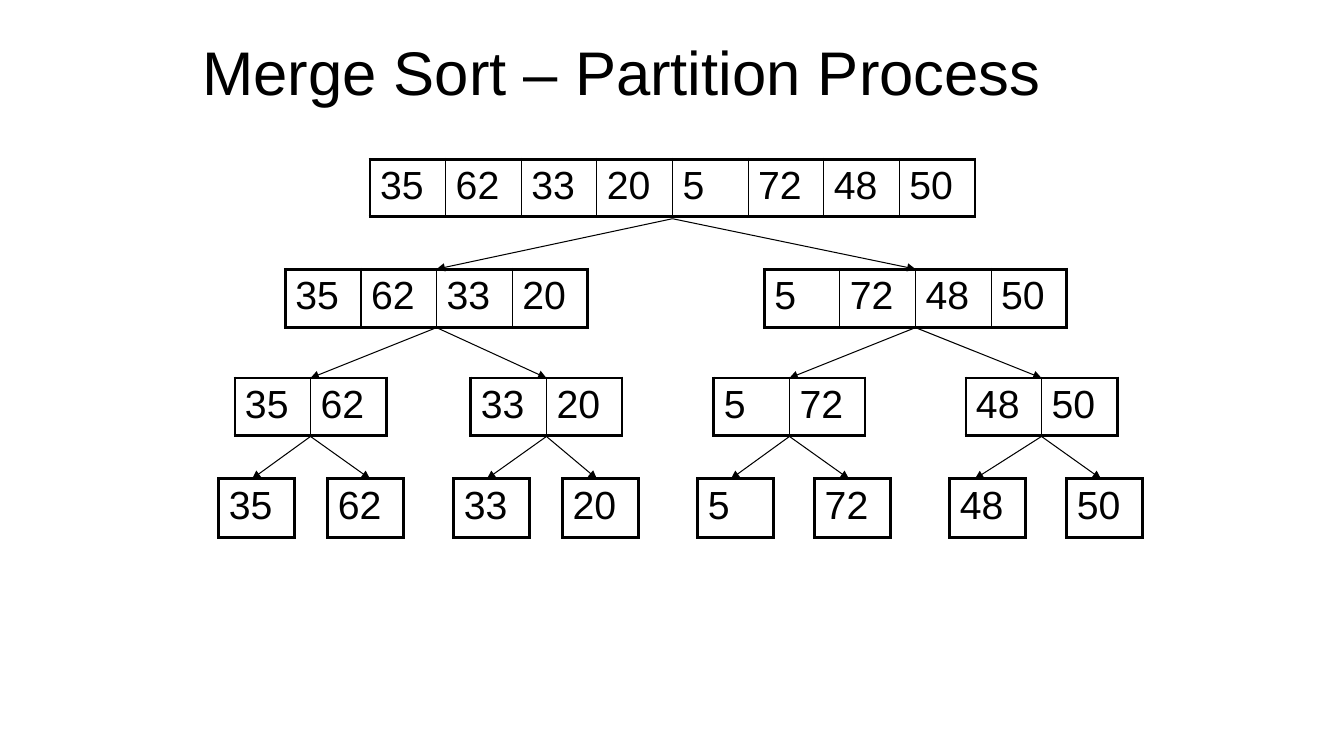
from dataclasses import dataclass

from lxml.etree import SubElement
from pptx import Presentation
from pptx.dml.color import RGBColor
from pptx.enum.shapes import MSO_CONNECTOR
from pptx.enum.text import MSO_ANCHOR, PP_ALIGN
from pptx.oxml.ns import qn
from pptx.util import Inches, Pt

FONT = "Arial"
INK = "000000"
CELL_WIDTH = 0.75
OUTER, INNER, ARROW = 2.25, 1, 0.75
VALUES = [35, 62, 33, 20, 5, 72, 48, 50]


@dataclass
class Level:
    """One level of the tree; lengths in inches.

    lefts are the left edges of its arrays, anchors the x of the arrows
    that reach and leave them, exit_y the height where arrows leave.
    """
    top: float
    height: float
    exit_y: float
    lefts: list[float]
    anchors: list[float]


LEVELS = [
    Level(1.58, 0.57, 2.17, [3.67], [6.67]),
    Level(2.67, 0.58, 3.25, [2.83, 7.58], [4.33, 9.08]),
    Level(3.75, 0.57, 4.33, [2.33, 4.67, 7.08, 9.58], [3.08, 5.42, 7.83, 10.33]),
    Level(4.75, 0.58, 5.33, [2.17, 3.25, 4.5, 5.58, 6.92, 8.08, 9.42, 10.58],
          [2.5, 3.67, 4.83, 5.92, 7.25, 8.42, 9.67, 10.92]),
]


def color(value: str) -> RGBColor:
    """Turn a hex string into a colour."""
    return RGBColor.from_string(value)


def format_font(font, size: float) -> None:
    """Apply the slide's typeface and text colour."""
    for name, value in {"name": FONT, "size": Pt(size)}.items():
        setattr(font, name, value)
    font.color.rgb = color(INK)


def add_title(slide, text: str) -> None:
    """Place and fill the title placeholder."""
    sp = slide.shapes.title
    box = {"left": 1.67, "top": 0.08, "width": 9, "height": 1.25}
    for name, value in box.items():
        setattr(sp, name, Inches(value))
    tf = sp.text_frame
    tf.vertical_anchor = MSO_ANCHOR.MIDDLE
    p = tf.paragraphs[0]
    p.alignment = PP_ALIGN.CENTER
    r = p.add_run()
    r.text = text
    format_font(r.font, 44)


def set_borders(cell, first: bool, last: bool) -> None:
    """Draw heavy outer borders and thin dividers around a cell."""
    tc_pr = cell._tc.get_or_add_tcPr()
    widths = {"lnL": OUTER if first else INNER, "lnR": OUTER if last else INNER,
              "lnT": OUTER, "lnB": OUTER}
    for tag, width in widths.items():
        ln = SubElement(tc_pr, qn(f"a:{tag}"), w=str(Pt(width)))
        fill = SubElement(ln, qn("a:solidFill"))
        SubElement(fill, qn("a:srgbClr"), val=INK)


def fill_cell(cell, value: int) -> None:
    """Write one number into a transparent cell."""
    cell.fill.background()
    p = cell.text_frame.paragraphs[0]
    spacing = SubElement(p._p.get_or_add_pPr(), qn("a:spcBef"))
    SubElement(spacing, qn("a:spcPct"), val="20000")
    r = p.add_run()
    r.text = str(value)
    format_font(r.font, 28)


def add_array(slide, left: float, level: Level, values: list[int]) -> None:
    """Add an array as a one-row table."""
    count = len(values)
    table = slide.shapes.add_table(
        1, count, Inches(left), Inches(level.top),
        Inches(CELL_WIDTH * count), Inches(level.height)).table
    table.first_row = table.horz_banding = False
    for i, value in enumerate(values):
        cell = table.cell(0, i)
        set_borders(cell, i == 0, i == count - 1)
        fill_cell(cell, value)


def add_arrow(slide, x1: float, y1: float, x2: float, y2: float) -> None:
    """Add a thin arrow pointing at its second end."""
    line = slide.shapes.add_connector(
        MSO_CONNECTOR.STRAIGHT, Inches(x1), Inches(y1), Inches(x2), Inches(y2))
    line.line.width = Pt(ARROW)
    line.line.color.rgb = color(INK)
    SubElement(line.line._get_or_add_ln(), qn("a:tailEnd"), type="triangle")
    SubElement(line._element.spPr, qn("a:effectLst"))


def main() -> None:
    """Build the slide and save it."""
    prs = Presentation()
    prs.slide_width, prs.slide_height = Inches(13.33), Inches(7.5)
    slide = prs.slides.add_slide(prs.slide_layouts[5])
    add_title(slide, "Merge Sort – Partition Process")

    for level in LEVELS:
        size = len(VALUES) // len(level.lefts)
        for i, left in enumerate(level.lefts):
            add_array(slide, left, level, VALUES[i * size:(i + 1) * size])

    for parent, child in zip(LEVELS, LEVELS[1:]):
        for i, x in enumerate(child.anchors):
            add_arrow(slide, parent.anchors[i // 2], parent.exit_y, x, child.top)

    prs.save("out.pptx")


main()
